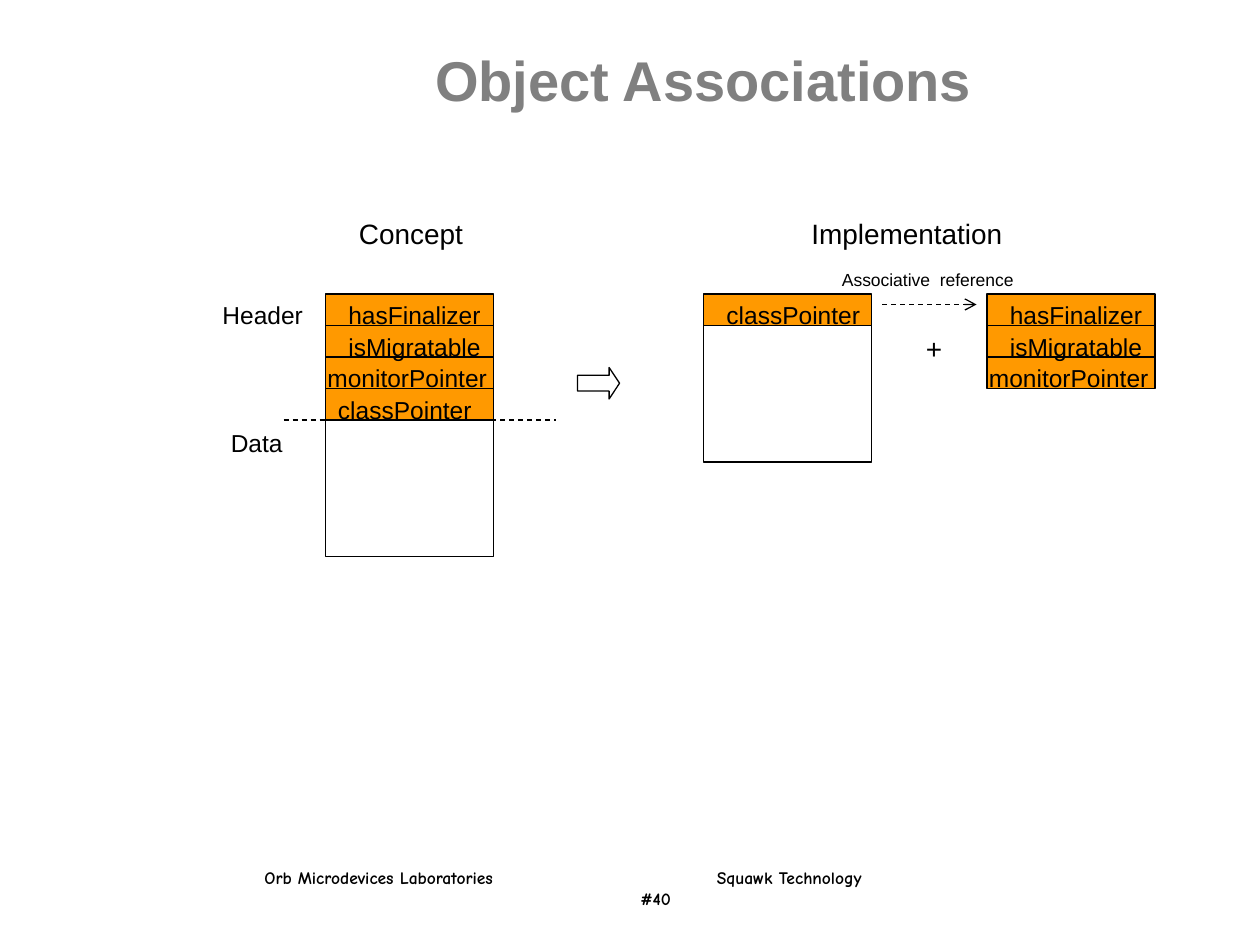
from lxml import etree
from pptx import Presentation
from pptx.dml.color import RGBColor
from pptx.enum.dml import MSO_LINE
from pptx.enum.shapes import MSO_CONNECTOR, MSO_SHAPE
from pptx.enum.text import MSO_ANCHOR, MSO_AUTO_SIZE, PP_ALIGN
from pptx.oxml.ns import qn
from pptx.util import Pt

PX = 7620  # 120 px to the inch
ROW = 30


class Theme:
    INK = RGBColor(0, 0, 0)
    TITLE = RGBColor(0x80, 0x80, 0x80)
    HEADER = RGBColor(0xFF, 0x99, 0x00)
    LINE = Pt(0.75)
    TITLE_SIZE, HEADING_SIZE, LABEL_SIZE, SMALL_SIZE = 32, 16, 14, 10
    FONT, FOOTER_FONT = "Arial", "Comic Neue"


deck = Presentation()
deck.slide_width, deck.slide_height = 1200 * PX, 900 * PX
page = deck.slides.add_slide(deck.slide_layouts[6])


def add_text(text, left, top, width, height, size=Theme.LABEL_SIZE, font=Theme.FONT,
             color=Theme.INK, bold=False, wrap=False, align=PP_ALIGN.LEFT,
             anchor=MSO_ANCHOR.TOP, tabs=()):
    """Add a text box; each line of text is a paragraph, tabs holds one stop per line."""
    box = page.shapes.add_textbox(left * PX, top * PX, width * PX, height * PX)
    frame = box.text_frame
    frame.word_wrap = wrap
    frame.vertical_anchor = anchor
    if not wrap:
        frame.auto_size = MSO_AUTO_SIZE.SHAPE_TO_FIT_TEXT
    for index, line in enumerate(text.split("\n")):
        para = frame.add_paragraph() if index else frame.paragraphs[0]
        para.alignment = align
        if tabs:
            stops = etree.SubElement(para._p.get_or_add_pPr(), qn("a:tabLst"))
            etree.SubElement(stops, qn("a:tab"), pos=str(tabs[index] * PX), algn="l")
        span = para.add_run()
        span.text = line
        span.font.size = Pt(size)
        span.font.name = font
        span.font.bold = bold
        span.font.color.rgb = color


def add_line(left, right, y, dashed=False, arrow=False):
    line = page.shapes.add_connector(
        MSO_CONNECTOR.STRAIGHT, left * PX, y * PX, right * PX, y * PX)
    line.line.color.rgb = Theme.INK
    line.line.width = Theme.LINE
    if dashed:
        line.line.dash_style = MSO_LINE.DASH
    if arrow:
        etree.SubElement(line.line._get_or_add_ln(), qn("a:tailEnd"), type="arrow")
    etree.SubElement(line._element.spPr, qn("a:effectLst"))


add_text("Orb Microdevices Laboratories\tSquawk Technology\n\t#40", 240, 820, 755, 53,
         size=Theme.SMALL_SIZE, font=Theme.FOOTER_FONT, bold=True, wrap=True,
         tabs=(431, 358))
add_text("Object Associations", 210, 20, 920, 110, size=Theme.TITLE_SIZE,
         color=Theme.TITLE, bold=True, wrap=True, align=PP_ALIGN.CENTER,
         anchor=MSO_ANCHOR.MIDDLE)

# Object layouts: data blocks, header blocks and the arrow between them
for kind, left, top, width, height, fill in (
    (MSO_SHAPE.RECTANGLE, 310, 400, 160, 130, None),
    (MSO_SHAPE.RECTANGLE, 310, 280, 160, 3 * ROW, Theme.HEADER),
    (MSO_SHAPE.RECTANGLE, 310, 370, 160, ROW, Theme.HEADER),
    (MSO_SHAPE.RIGHT_ARROW, 550, 350, 40, 30, None),
    (MSO_SHAPE.RECTANGLE, 670, 310, 160, 130, None),
    (MSO_SHAPE.RECTANGLE, 670, 280, 160, ROW, Theme.HEADER),
    (MSO_SHAPE.RECTANGLE, 940, 280, 160, 3 * ROW, Theme.HEADER),
):
    shape = page.shapes.add_shape(kind, left * PX, top * PX, width * PX, height * PX)
    shape.shadow.inherit = False
    shape.line.color.rgb = Theme.INK
    shape.line.width = Theme.LINE
    if fill is None:
        shape.fill.background()
    else:
        shape.fill.solid()
        shape.fill.fore_color.rgb = fill
    if kind == MSO_SHAPE.RIGHT_ARROW:
        shape.adjustments[1] = 0.33

# The same three header fields stand in the concept and in the associated object
for left in (310, 940):
    for row, (field, offset, width) in enumerate((
        ("hasFinalizer", 10, 151), ("isMigratable", 10, 151), ("monitorPointer", -10, 177),
    )):
        top = 280 + row * ROW
        if row:
            add_line(left, left + 160, top)
        add_text(field, left + offset, top, width, 41)

add_line(940, 1100, 280)
add_line(270, 530, 400, dashed=True)
add_line(840, 930, 290, dashed=True, arrow=True)

for label, left, top, width in (
    ("Header", 200, 280, 102),
    ("Data", 208, 402, 75),
    ("classPointer", 310, 370, 153),
    ("classPointer", 680, 280, 153),
):
    add_text(label, left, top, width, 41)

for heading, left, top, width in (
    ("Concept", 330, 200, 124),
    ("Implementation", 761, 200, 207),
    ("+", 870, 310, 40),
):
    add_text(heading, left, top, width, 44, size=Theme.HEADING_SIZE)

add_text("Associative  reference", 790, 250, 188, 32, size=Theme.SMALL_SIZE)

deck.save("out.pptx")
